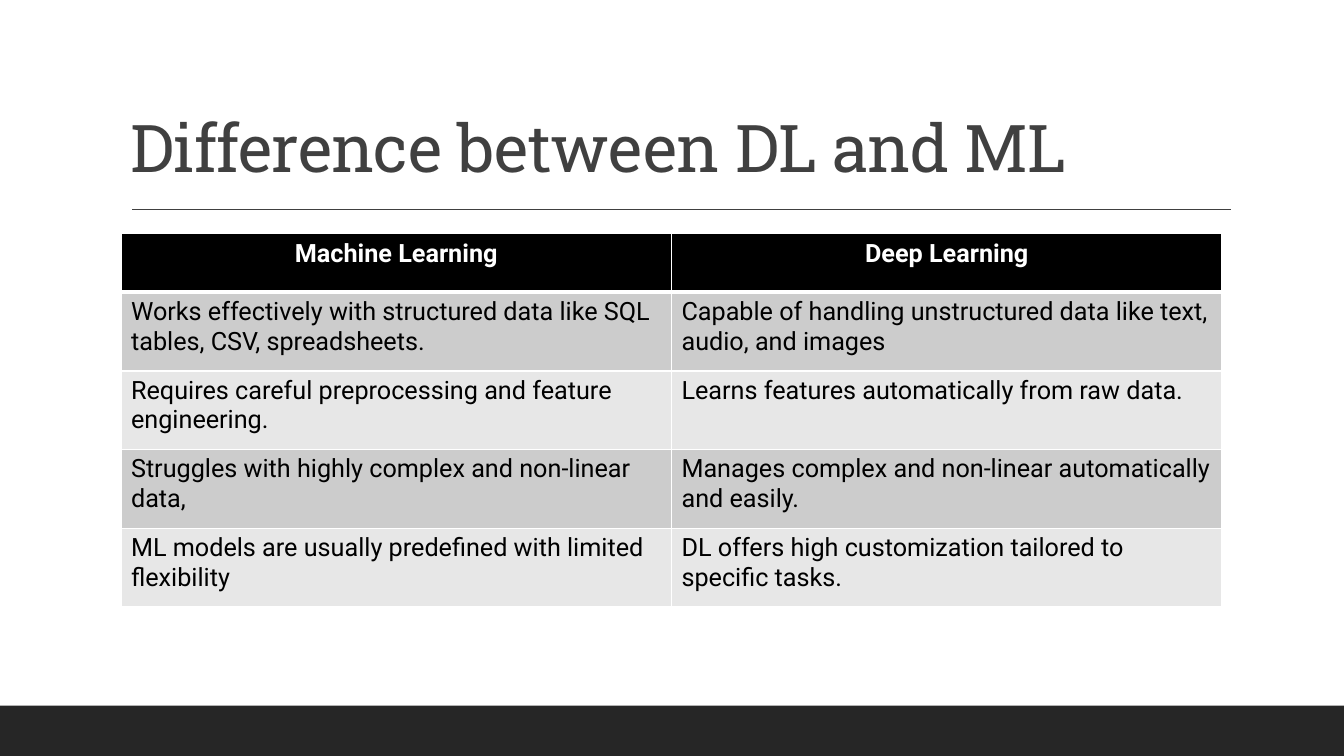
from lxml.etree import SubElement
from pptx import Presentation
from pptx.dml.color import RGBColor
from pptx.enum.shapes import MSO_CONNECTOR, MSO_SHAPE
from pptx.enum.text import MSO_ANCHOR, PP_ALIGN
from pptx.oxml import parse_xml
from pptx.oxml.ns import nsdecls, qn
from pptx.util import Inches, Pt

TITLE = "Difference between DL and ML"
ROWS = [
    ("Machine Learning", "Deep Learning"),
    ("Works effectively with structured data like SQL tables, CSV, spreadsheets.",
     "Capable of handling unstructured data like text, audio, and images"),
    ("Requires careful preprocessing and feature engineering.",
     "Learns features automatically from raw data."),
    ("Struggles with highly complex and non-linear data,",
     "Manages complex and non-linear automatically and easily."),
    ("ML models are usually predefined with limited flexibility",
     "DL offers high customization tailored to specific tasks."),
]
COLORS = {"footer": "262626", "title": "404040", "header": "000000", "text": "000000",
          "white": "FFFFFF", "odd": "CCCCCC", "even": "E7E7E7"}
WIDTH, HEIGHT = 13.33, 7.5
FOOTER_HEIGHT = HEIGHT / 15
LEFT, TABLE_TOP = 1.2, 2.32
COLUMN_WIDTH, HEADER_HEIGHT, ROW_HEIGHT = 5.46, 0.58, 0.78
RULE_LEFT, RULE_RIGHT, RULE_Y = 1.31, 12.21, 2.08


def color(name):
    return RGBColor.from_string(COLORS[name])


def style_font(font, name, size, color_name, bold=False):
    font.name, font.size, font.bold = name, Pt(size), bold
    font.color.rgb = color(color_name)


def add_borders(cell, top, bottom):
    """Draw white cell edges; top and bottom widths are in points."""
    widths = {"L": 1, "R": 1, "T": top, "B": bottom}
    properties = cell._tc.get_or_add_tcPr()
    for index, (side, width) in enumerate(widths.items()):
        properties.insert(index, parse_xml(
            f'<a:ln{side} {nsdecls("a")} w="{Pt(width)}"><a:solidFill>'
            f'<a:srgbClr val="{COLORS["white"]}"/></a:solidFill></a:ln{side}>'))


def add_footer(slide):
    footer = slide.shapes.add_shape(
        MSO_SHAPE.RECTANGLE, 0, Inches(HEIGHT - FOOTER_HEIGHT), Inches(WIDTH), Inches(FOOTER_HEIGHT))
    footer.shadow.inherit = False
    footer.fill.solid()
    footer.fill.fore_color.rgb = color("footer")
    footer.line.fill.background()


def add_title(slide):
    rule = slide.shapes.add_connector(
        MSO_CONNECTOR.STRAIGHT, Inches(RULE_LEFT), Inches(RULE_Y), Inches(RULE_RIGHT), Inches(RULE_Y))
    rule.line.color.rgb = color("title")
    rule.line.width = Pt(1)
    SubElement(rule._element.spPr, qn("a:effectLst"))

    title = slide.shapes.add_textbox(Inches(LEFT), Inches(0.31), Inches(11), Inches(1.59))
    title.text_frame.word_wrap = True
    title.text_frame.vertical_anchor = MSO_ANCHOR.BOTTOM
    paragraph = title.text_frame.paragraphs[0]
    paragraph.line_spacing = 0.9
    run = paragraph.add_run()
    run.text = TITLE
    style_font(run.font, "Roboto Slab", 47, "title")
    run.font._element.set("spc", "-50")


def add_comparison(slide):
    row_heights = [HEADER_HEIGHT] + [ROW_HEIGHT] * (len(ROWS) - 1)
    columns = len(ROWS[0])
    table = slide.shapes.add_table(
        len(ROWS), columns, Inches(LEFT), Inches(TABLE_TOP),
        Inches(columns * COLUMN_WIDTH), Inches(sum(row_heights))).table
    for column in table.columns:
        column.width = Inches(COLUMN_WIDTH)
    for index, texts in enumerate(ROWS):
        table.rows[index].height = Inches(row_heights[index])
        is_header = index == 0
        fill = "header" if is_header else "odd" if index % 2 else "even"
        for cell, text in zip(table.rows[index].cells, texts):
            cell.text = text
            cell.fill.solid()
            cell.fill.fore_color.rgb = color(fill)
            add_borders(cell, top=3 if index == 1 else 1, bottom=3 if is_header else 1)
            paragraph = cell.text_frame.paragraphs[0]
            paragraph.alignment = PP_ALIGN.CENTER if is_header else PP_ALIGN.LEFT
            style_font(paragraph.font, "Roboto", 18, "white" if is_header else "text", is_header)


def main():
    presentation = Presentation()
    presentation.slide_width, presentation.slide_height = Inches(WIDTH), Inches(HEIGHT)
    slide = presentation.slides.add_slide(presentation.slide_layouts[6])
    add_footer(slide)
    add_title(slide)
    add_comparison(slide)
    presentation.save("out.pptx")


if __name__ == "__main__":
    main()
